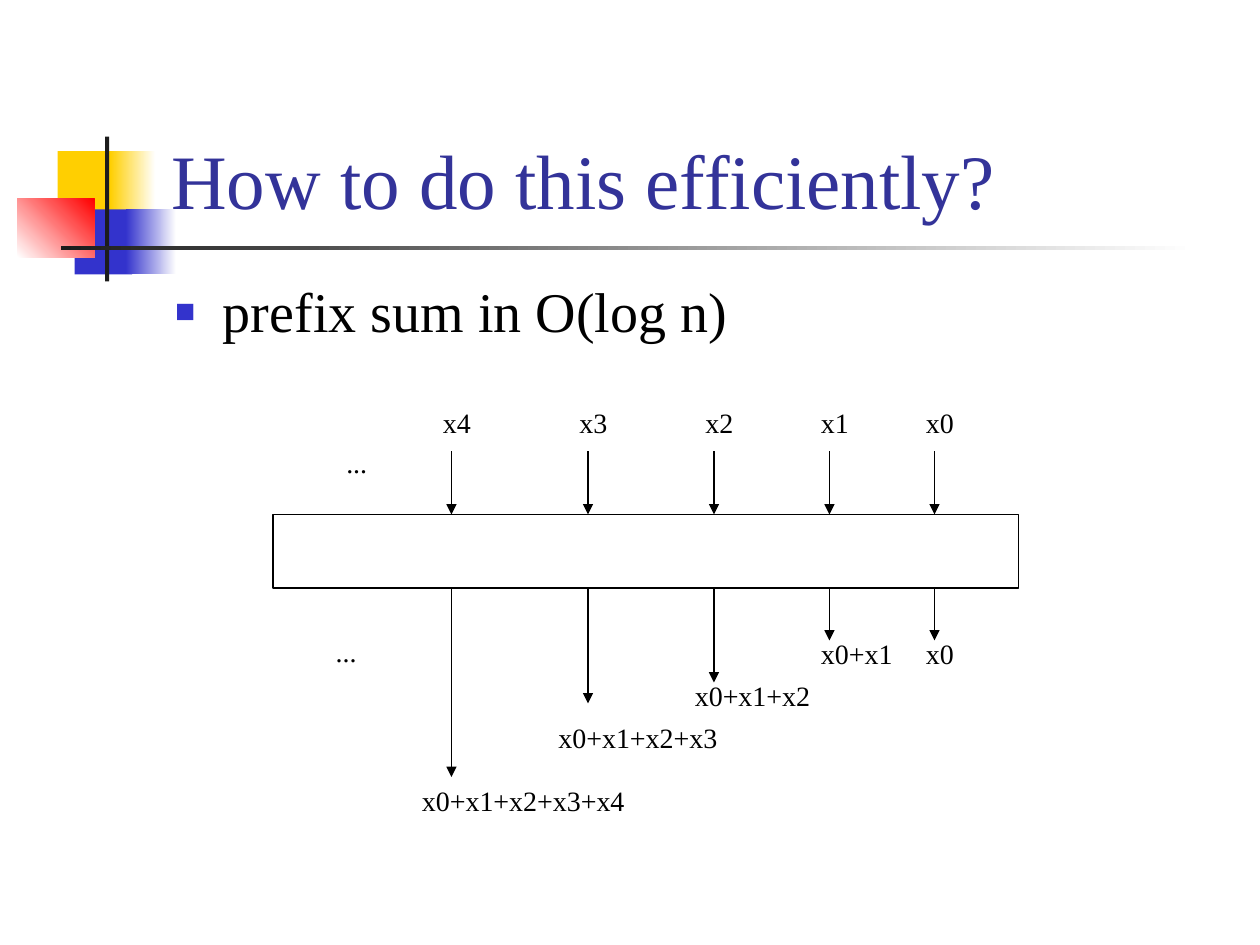
import pptx
import pptx.util
import pptx.dml.color
import pptx.enum.shapes
import pptx.enum.text
import pptx.oxml
import pptx.oxml.ns
import lxml.etree

THEME = {
    "font": "Times New Roman",
    "title": "333399", "ink": "000000", "bar": "1C1C1C", "white": "FFFFFF",
    "yellow": "FFCF01", "blue": "3333CC", "red": "FF0000",
    "title_size": 44, "body_size": 32, "label_size": 16, "line": 0.75,
}
RECTANGLE = pptx.enum.shapes.MSO_SHAPE.RECTANGLE

deck = pptx.Presentation()
deck.slide_width = pptx.util.Inches(10)
deck.slide_height = pptx.util.Inches(7.5)
COLUMN = deck.slide_width / 120
ROW = deck.slide_height / 90
slide = deck.slides.add_slide(deck.slide_layouts[5])


def colour(name):
    return pptx.dml.color.RGBColor.from_string(THEME[name])


def write(box, place, text, size, ink):
    left, top, width, height = place
    box.left, box.width = int(left * COLUMN), int(width * COLUMN)
    box.top, box.height = int(top * ROW), int(height * ROW)
    frame = box.text_frame
    frame.text = text
    frame.auto_size = pptx.enum.text.MSO_AUTO_SIZE.NONE
    paragraph = frame.paragraphs[0]
    paragraph.alignment = pptx.enum.text.PP_ALIGN.LEFT
    font = paragraph.runs[0].font
    font.name, font.size = THEME["font"], pptx.util.Pt(THEME[size])
    font.color.rgb = colour(ink)
    return frame


ornaments = [
    (5.5, 14.4, 5.8, 6.2, "yellow", None, 0),
    (10.5, 14.4, 4.3, 6.2, "yellow", "white", 0),
    (7.1, 19.95, 5.5, 6.2, "blue", None, 0),
    (12, 19.95, 4.8, 6.2, "blue", "white", 0),
    (1.65, 18.95, 7.35, 5.55, "white", "red", 45),
    (10, 13, 0.4, 13.8, "bar", None, 0),
    (5.8, 23.4, 108, 0.4, "bar", "white", 0),
]
for left, top, width, height, start, end, angle in ornaments:
    ornament = slide.shapes.add_shape(
        RECTANGLE, int(left * COLUMN), int(top * ROW), int(width * COLUMN), int(height * ROW))
    ornament.shadow.inherit = False
    ornament.line.fill.background()
    if end:
        ornament.fill.gradient()
        ornament.fill.gradient_angle = angle
        for stop, name in zip(ornament.fill.gradient_stops, (start, end)):
            stop.color.rgb = colour(name)
    else:
        ornament.fill.solid()
        ornament.fill.fore_color.rgb = colour(start)

title = slide.shapes.title
slide.shapes._spTree.append(title._element)
heading = write(title, (15.1, 2.8, 102.2, 19.2), "How to do this efficiently?", "title_size", "title")
heading.vertical_anchor = pptx.enum.text.MSO_ANCHOR.BOTTOM

claim = write(slide.shapes.add_textbox(0, 0, 0, 0), (15.5, 26.5, 102, 7.6),
              "prefix sum in O(log n)", "body_size", "ink")
claim.word_wrap = True
claim.paragraphs[0].line_spacing = 0.9
properties = claim.paragraphs[0]._p.get_or_add_pPr()
properties.set("marL", str(pptx.util.Inches(0.38)))
properties.set("indent", str(-pptx.util.Inches(0.38)))
bullet_colour = lxml.etree.SubElement(properties, pptx.oxml.ns.qn("a:buClr"))
lxml.etree.SubElement(bullet_colour, pptx.oxml.ns.qn("a:srgbClr"), val=THEME["blue"])
lxml.etree.SubElement(properties, pptx.oxml.ns.qn("a:buSzPct"), val="60000")
lxml.etree.SubElement(properties, pptx.oxml.ns.qn("a:buFont"), typeface=THEME["font"])
lxml.etree.SubElement(properties, pptx.oxml.ns.qn("a:buChar"), char="■")

circuit = slide.shapes.add_group_shape().shapes
INPUT_TOP, BOX_TOP, BOX_BOTTOM = 43, 49, 56
network = circuit.add_shape(RECTANGLE, int(26 * COLUMN), int(BOX_TOP * ROW),
                            int(71 * COLUMN), int((BOX_BOTTOM - BOX_TOP) * ROW))
network.shadow.inherit = False
network.fill.background()
network.line.color.rgb = colour("ink")
network.line.width = pptx.util.Pt(THEME["line"])

wires = [
    (89, 61, 87, 60),
    (79, 61, 77, 60),
    (68, 65, 65, 64),
    (56, 67, 52, 68),
    (43, 74, 39, 74),
]
labels = [("...", 31.8, 41.8, 4.3), ("...", 30.8, 59.8, 4.3)]
for index, (column, output_end, sum_left, sum_top) in enumerate(wires):
    labels.append((f"x{index}", column - 2, 38, 5))
    prefix_sum = "+".join(f"x{term}" for term in range(index + 1))
    labels.append((prefix_sum, sum_left, sum_top, 5 + 4.17 * index))
    for start, end in ((INPUT_TOP, BOX_TOP), (BOX_BOTTOM, output_end)):
        arrow = circuit.add_connector(
            pptx.enum.shapes.MSO_CONNECTOR.STRAIGHT,
            int(column * COLUMN), int(start * ROW), int(column * COLUMN), int(end * ROW))
        arrow.line.color.rgb = colour("ink")
        arrow.line.width = pptx.util.Pt(THEME["line"])
        lxml.etree.SubElement(arrow.line._get_or_add_ln(), pptx.oxml.ns.qn("a:tailEnd"), type="triangle")
        lxml.etree.SubElement(arrow._element.spPr, pptx.oxml.ns.qn("a:effectLst"))

for text, left, top, width in labels:
    label = write(circuit.add_textbox(0, 0, 0, 0), (left, top, width, 4.4), text, "label_size", "ink")
    label.word_wrap = False

deck.save("out.pptx")
